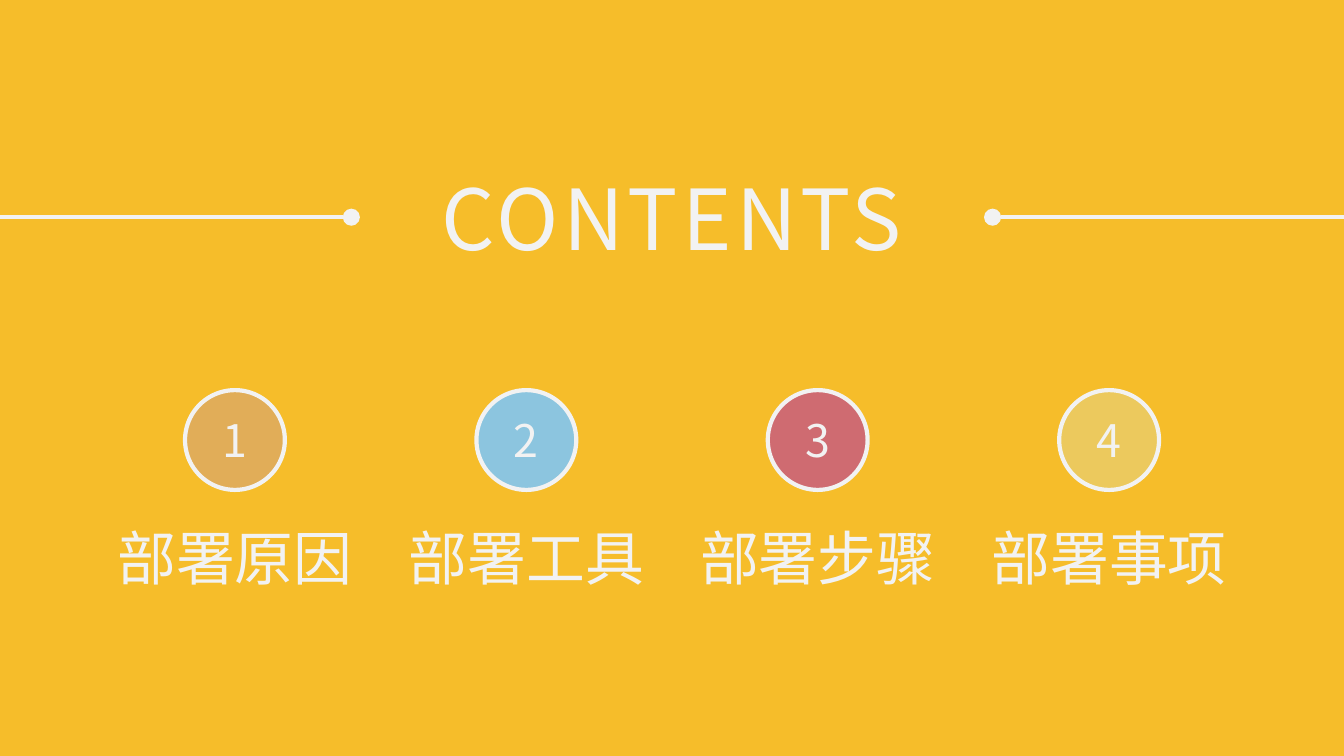
from pptx import Presentation
from pptx.dml.color import RGBColor
from pptx.enum.shapes import MSO_CONNECTOR, MSO_SHAPE
from pptx.enum.text import MSO_ANCHOR, PP_ALIGN
from pptx.oxml.ns import qn
from pptx.util import Inches, Pt

FONT = "Noto Sans CJK SC"
YELLOW = RGBColor(0xF6, 0xBD, 0x2A)
OFF_WHITE = RGBColor(0xF2, 0xF2, 0xF2)
ORANGE = RGBColor(0xE1, 0xAD, 0x58)
BLUE = RGBColor(0x8C, 0xC5, 0xDF)
RED = RGBColor(0xCF, 0x6B, 0x71)
LIME = RGBColor(0xEC, 0xC9, 0x5D)

SLIDE_W, SLIDE_H = 13.33, 7.5
CHAPTERS = [("部署原因", ORANGE), ("部署工具", BLUE),
            ("部署步骤", RED), ("部署事项", LIME)]
RULE_WEIGHT = Pt(3)
DOT = 0.17
BADGE = 0.99
LABEL_W, LABEL_H, LABEL_DROP = 2.56, 0.81, 1.25
COLUMN_PITCH = 2.89


def write(frame, text, size, spacing=0):
    frame.word_wrap = False
    frame.vertical_anchor = MSO_ANCHOR.MIDDLE
    paragraph = frame.paragraphs[0]
    paragraph.alignment = PP_ALIGN.CENTER
    run = paragraph.add_run()
    run.text = text
    run.font.size = Pt(size)
    run.font.color.rgb = OFF_WHITE
    run.font.name = FONT
    properties = run.font._element
    properties.makeelement(qn("a:ea"), {})
    east_asian = properties.makeelement(qn("a:ea"), {"typeface": FONT})
    properties.find(qn("a:latin")).addnext(east_asian)
    if spacing:
        properties.set("spc", str(spacing * 100))


def add_circle(slide, left, top, diameter, fill):
    circle = slide.shapes.add_shape(
        MSO_SHAPE.OVAL, Inches(left), Inches(top), Inches(diameter), Inches(diameter))
    circle.shadow.inherit = False
    circle.fill.solid()
    circle.fill.fore_color.rgb = fill
    circle.line.fill.background()
    return circle


def add_dotted_rule(slide, dot_left, line_start, line_end, middle):
    """A dot beside the heading with a rule running to the slide's edge."""
    add_circle(slide, dot_left, middle - DOT / 2, DOT, OFF_WHITE)
    rule = slide.shapes.add_connector(
        MSO_CONNECTOR.STRAIGHT, Inches(line_start), Inches(middle),
        Inches(line_end), Inches(middle))
    rule.line.color.rgb = OFF_WHITE
    rule.line.width = RULE_WEIGHT
    properties = rule._element.spPr
    properties.append(properties.makeelement(qn("a:effectLst"), {}))


def add_heading(slide, left, top, width, height):
    heading = slide.shapes.title
    heading.left, heading.top = Inches(left), Inches(top)
    heading.width, heading.height = Inches(width), Inches(height)
    write(heading.text_frame, "CONTENTS", 60, spacing=3)

    middle = top + height / 2
    dot_left = 3.4
    add_dotted_rule(slide, dot_left, dot_left, 0, middle)
    right_dot = SLIDE_W - dot_left - DOT
    add_dotted_rule(slide, right_dot, right_dot + DOT, SLIDE_W, middle)


def add_chapter(slide, number, label, fill, center, top):
    badge = add_circle(slide, center - BADGE / 2, top, BADGE, fill)
    badge.line.color.rgb = OFF_WHITE
    badge.line.width = RULE_WEIGHT
    write(badge.text_frame, str(number), 32)

    caption = slide.shapes.add_textbox(
        Inches(center - LABEL_W / 2), Inches(top + LABEL_DROP),
        Inches(LABEL_W), Inches(LABEL_H))
    write(caption.text_frame, label, 42)


def add_chapters(slide, top):
    first_center = (SLIDE_W - COLUMN_PITCH * (len(CHAPTERS) - 1)) / 2
    for index, (label, fill) in enumerate(CHAPTERS):
        add_chapter(slide, index + 1, label, fill,
                    first_center + index * COLUMN_PITCH, top)


def main():
    deck = Presentation()
    deck.slide_width, deck.slide_height = Inches(SLIDE_W), Inches(SLIDE_H)
    slide = deck.slides.add_slide(deck.slide_layouts[5])
    slide.background.fill.solid()
    slide.background.fill.fore_color.rgb = YELLOW
    add_heading(slide, 4.18, 1.6, SLIDE_W - 2 * 4.18, 1.11)
    add_chapters(slide, 3.87)
    deck.save("out.pptx")


if __name__ == "__main__":
    main()
